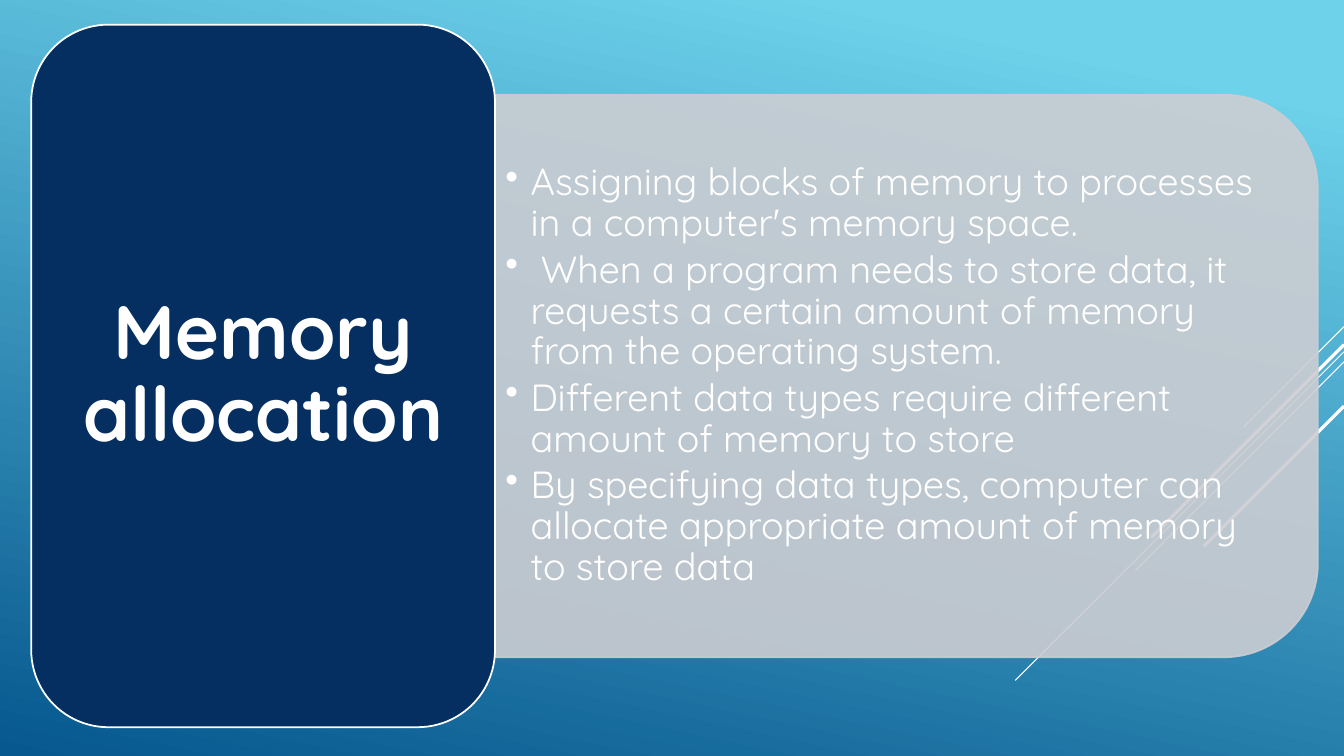
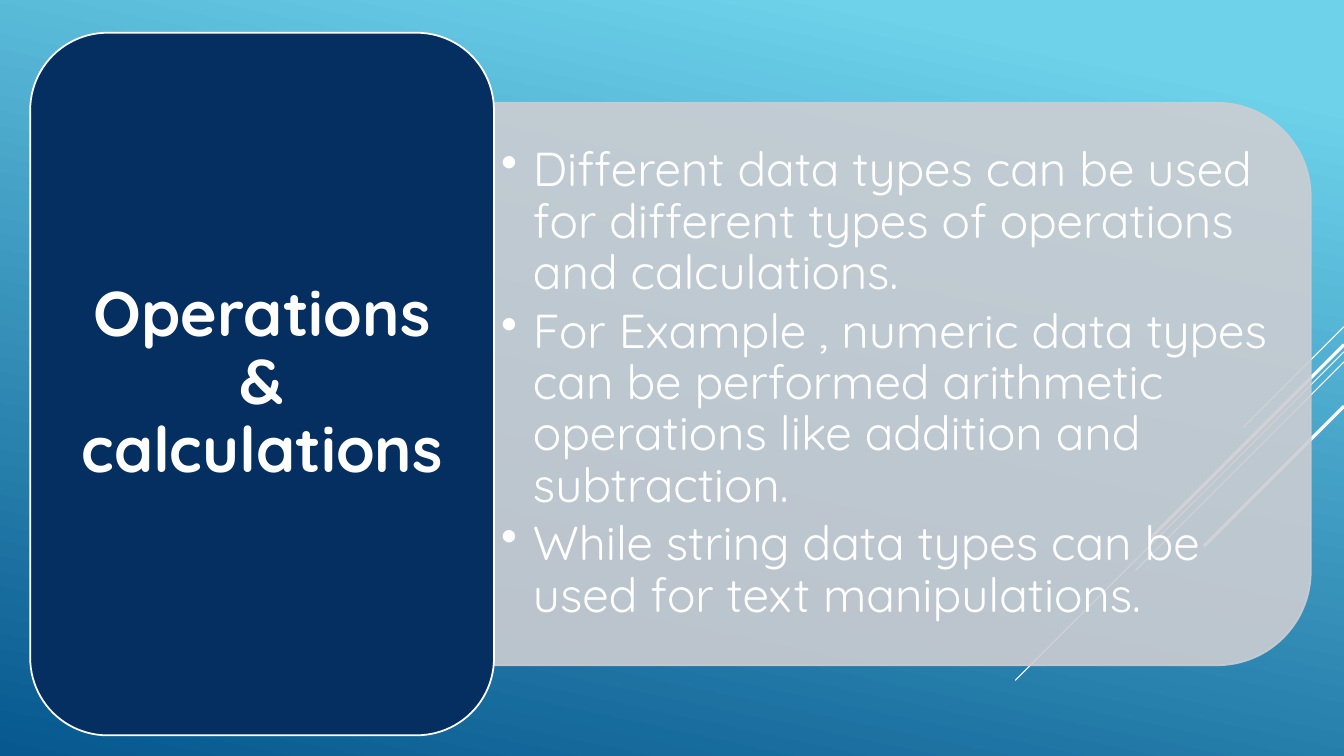
from dataclasses import dataclass

from lxml.etree import SubElement
from pptx import Presentation
from pptx.dml.color import RGBColor
from pptx.enum.shapes import MSO_CONNECTOR, MSO_SHAPE
from pptx.enum.text import MSO_ANCHOR, PP_ALIGN
from pptx.oxml.ns import qn
from pptx.presentation import Presentation as Deck
from pptx.shapes.autoshape import Shape
from pptx.slide import Slide
from pptx.text.text import TextFrame, _Paragraph as Paragraph
from pptx.util import Inches, Pt


@dataclass(frozen=True)
class Theme:
    font: str = "Quicksand"
    white: RGBColor = RGBColor(0xFF, 0xFF, 0xFF)
    navy: RGBColor = RGBColor(0x05, 0x2F, 0x61)
    silver: RGBColor = RGBColor(0xCC, 0xCD, 0xD2)
    sky: RGBColor = RGBColor(0x6E, 0xD2, 0xEB)
    ocean: RGBColor = RGBColor(0x06, 0x58, 0x8E)
    panel_opacity: int = 90
    outline: float = 1.25
    line_spacing: float = 0.9


@dataclass(frozen=True)
class Streak:
    """A 45 degree line running down and left from the right slide edge."""
    top: float
    run: float
    weight: float


@dataclass(frozen=True)
class Topic:
    title: str
    title_size: int
    bullets: tuple[str, ...]
    bullet_size: int
    card_left: float
    panel_left: float
    middle: float


THEME = Theme()
SLIDE_WIDTH, SLIDE_HEIGHT = 13.33, 7.5
CARD_WIDTH, CARD_HEIGHT = 4.6, 6.97
PANEL_WIDTH, PANEL_HEIGHT = 8.17, 5.58
BULLETS_WIDTH, BULLETS_HEIGHT = 7.9, 5.03

STREAKS = (
    Streak(3.24, 1.0, 0.75),
    Streak(3.49, 3.26, 0.75),
    Streak(3.59, 2.07, 0.75),
    Streak(3.42, 1.91, 2.25),
    Streak(4.03, 1.39, 2.25),
)

TOPICS = (
    Topic(
        "Memory allocation", 54,
        (
            "Assigning blocks of memory to processes in a computer's memory space.",
            " When a program needs to store data, it requests a certain amount of "
            "memory from the operating system.",
            "Different data types require different amount of memory to store",
            "By specifying data types, computer can allocate appropriate amount of "
            "memory to store data",
        ),
        27, card_left=0.31, panel_left=4.9, middle=3.73,
    ),
    Topic(
        "Operations & calculations", 45,
        (
            "Different data types can be used for different types of operations "
            "and calculations.",
            "For Example , numeric data types can be performed arithmetic "
            "operations like addition and subtraction.",
            "While string data types can be used for text manipulations.",
        ),
        34, card_left=0.3, panel_left=4.83, middle=3.81,
    ),
)


def paint_background(presentation: Deck) -> None:
    fill = presentation.slide_master.background.fill
    fill.gradient()
    fill.gradient_angle = 360 - 102
    for stop, color, position in zip(
        fill.gradient_stops, (THEME.sky, THEME.ocean), (0.1, 1.0)
    ):
        stop.color.rgb = color
        stop.position = position


def add_streak(slide: Slide, streak: Streak) -> None:
    line = slide.shapes.add_connector(
        MSO_CONNECTOR.STRAIGHT,
        Inches(SLIDE_WIDTH), Inches(streak.top),
        Inches(SLIDE_WIDTH - streak.run), Inches(streak.top + streak.run),
    )
    line.line.color.rgb = THEME.white
    line.line.width = Pt(streak.weight)
    SubElement(line._element.spPr, qn("a:effectLst"))


def style_shape(shape: Shape, fill: RGBColor, outline: RGBColor) -> None:
    shape.shadow.inherit = False
    shape.fill.solid()
    shape.fill.fore_color.rgb = fill
    shape.line.color.rgb = outline
    shape.line.width = Pt(THEME.outline)


def set_opacity(shape: Shape, percent: int) -> None:
    for color in shape._element.spPr.iter(qn("a:srgbClr")):
        SubElement(color, qn("a:alpha"), val=str(percent * 1000))


def prepare_frame(frame: TextFrame, size: int) -> None:
    """Wrap and centre vertically, with margins in proportion to the type size."""
    frame.word_wrap = True
    frame.vertical_anchor = MSO_ANCHOR.MIDDLE
    frame.margin_left = frame.margin_right = Pt(size * 0.3)
    frame.margin_top = frame.margin_bottom = Pt(size * 0.15)


def style_paragraph(paragraph: Paragraph, size: int, bold: bool = False) -> None:
    paragraph.line_spacing = THEME.line_spacing
    for run in paragraph.runs:
        run.font.name = THEME.font
        run.font.size = Pt(size)
        run.font.bold = bold
        run.font.color.rgb = THEME.white


def add_bullet_mark(paragraph: Paragraph, size: int) -> None:
    hang = Pt(size * 2 / 3)
    properties = paragraph._p.get_or_add_pPr()
    properties.set("marL", str(hang))
    properties.set("indent", str(-hang))
    SubElement(properties, qn("a:buChar"), char="•")


def add_panel(slide: Slide, topic: Topic) -> None:
    """Add a panel turned a quarter, so its width and height swap on the slide."""
    panel = slide.shapes.add_shape(
        MSO_SHAPE.ROUND_2_SAME_RECTANGLE,
        Inches(topic.panel_left + (PANEL_WIDTH - PANEL_HEIGHT) / 2),
        Inches(topic.middle - PANEL_WIDTH / 2),
        Inches(PANEL_HEIGHT), Inches(PANEL_WIDTH),
    )
    panel.rotation = 90
    style_shape(panel, THEME.silver, THEME.silver)
    set_opacity(panel, THEME.panel_opacity)


def add_bullets(slide: Slide, topic: Topic) -> None:
    size = topic.bullet_size
    box = slide.shapes.add_textbox(
        Inches(topic.panel_left), Inches(topic.middle - BULLETS_HEIGHT / 2),
        Inches(BULLETS_WIDTH), Inches(BULLETS_HEIGHT),
    )
    frame = box.text_frame
    frame.text = "\n".join(topic.bullets)
    prepare_frame(frame, size)
    for paragraph in frame.paragraphs:
        paragraph.level = 1
        paragraph.space_after = Pt(size * 0.15)
        style_paragraph(paragraph, size)
        add_bullet_mark(paragraph, size)


def add_title_card(slide: Slide, topic: Topic) -> None:
    card = slide.shapes.add_shape(
        MSO_SHAPE.ROUNDED_RECTANGLE,
        Inches(topic.card_left), Inches(topic.middle - CARD_HEIGHT / 2),
        Inches(CARD_WIDTH), Inches(CARD_HEIGHT),
    )
    style_shape(card, THEME.navy, THEME.white)
    frame = card.text_frame
    frame.text = topic.title
    prepare_frame(frame, topic.title_size)
    paragraph = frame.paragraphs[0]
    paragraph.alignment = PP_ALIGN.CENTER
    style_paragraph(paragraph, topic.title_size, bold=True)


def add_topic_slide(presentation: Deck, topic: Topic) -> None:
    slide = presentation.slides.add_slide(presentation.slide_layouts[6])
    for streak in STREAKS:
        add_streak(slide, streak)
    add_panel(slide, topic)
    add_bullets(slide, topic)
    add_title_card(slide, topic)


def main() -> None:
    presentation = Presentation()
    presentation.slide_width = Inches(SLIDE_WIDTH)
    presentation.slide_height = Inches(SLIDE_HEIGHT)
    paint_background(presentation)
    for topic in TOPICS:
        add_topic_slide(presentation, topic)
    presentation.save("out.pptx")


if __name__ == "__main__":
    main()
